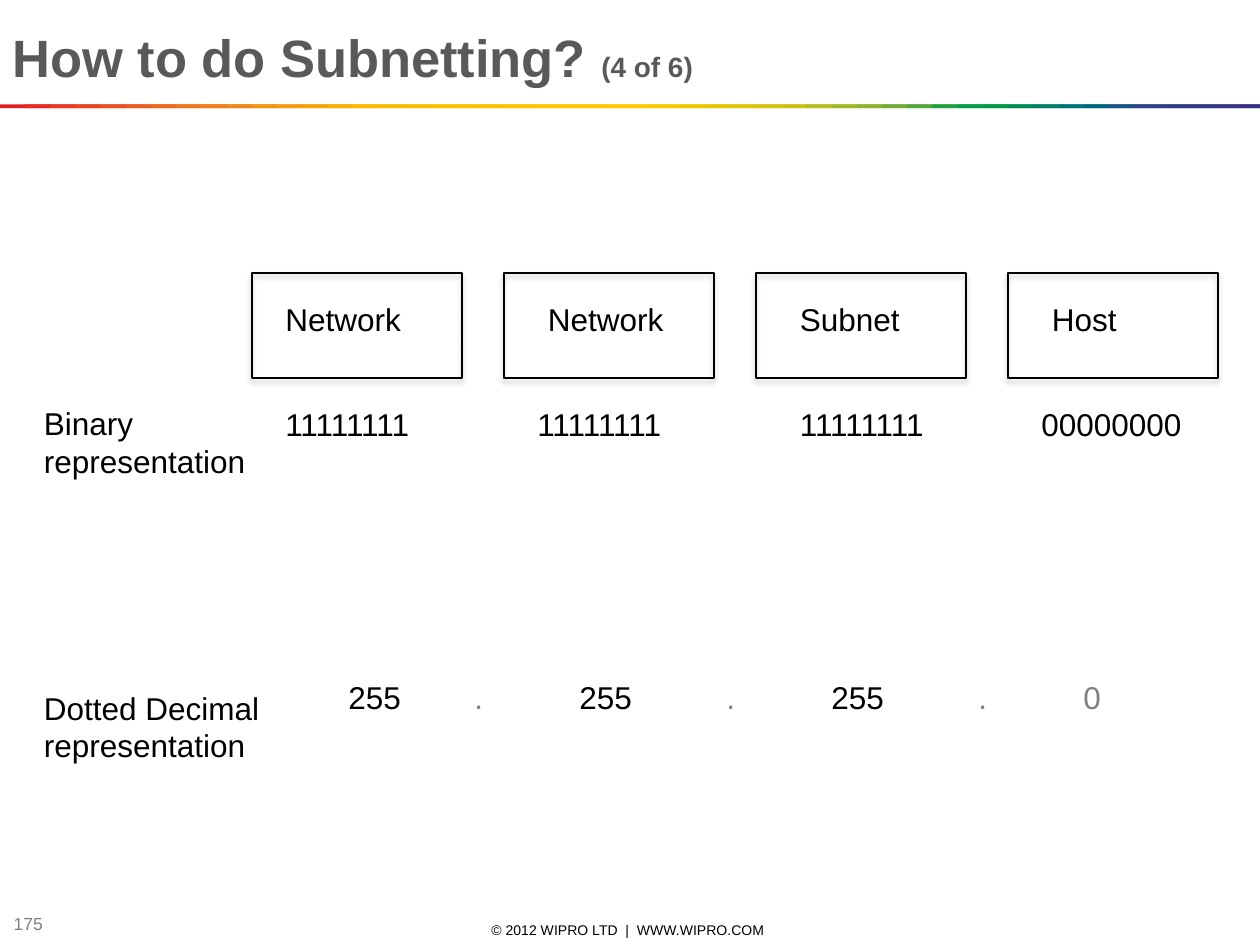
from lxml import etree
from pptx import Presentation
from pptx import util as u
from pptx.dml import color
from pptx.enum import shapes, text
from pptx.oxml import ns

Pt = u.Pt
RECT = shapes.MSO_SHAPE.RECTANGLE
MID = text.MSO_ANCHOR.MIDDLE
MAIN, GRAY = "000000", "808080"
BANDS = """
E31E24 E42C24 E53A24 E74623 E85122 EA5D21 EC691F EE741D EF7E1A F18817
F39314 F49C0F F6A607 F8B002 FBBA00 FBBB00 FBBD00 FCBF00 FCC000 FCC200
FDC400 FDC600 FDC700 FEC900 FECB00 FBCB00 F3CA00 ECC800 E4C602 DCC50A
D5C30E CCC117 B8BC21 A3B829 8CB230 71AD36 51A73B 1DA240 009D43 009846
008C57 008068 007275 00637F 185384 2E4285 313E85 333B85 353885 393185
""".split()
OCTETS = [
    ("Network", 12, "11111111", 12, "255", 48, MAIN),
    ("Network", 18, "11111111", 12, "255", 36, MAIN),
    ("Subnet", 18, "11111111", 18, "255", 36, MAIN),
    ("Host", 18, "00000000", 12, "0", 36, GRAY),
]


def hue(code):
    return color.RGBColor.from_string(code)


def style(item, vals):
    for key, val in vals.items():
        setattr(item, key, val)


def write(home, box, runs, frame=None, align=None):
    area = home.add_textbox(*map(Pt, box)).text_frame
    style(area, {"word_wrap": True, **(frame or {})})
    para = area.paragraphs[0]
    para.alignment = align
    for words, size, code, bold in runs:
        run = para.add_run()
        run.text = words
        style(run.font, {"name": "Arial", "size": Pt(size), "bold": bold})
        run.font.color.rgb = hue(code)


def label(home, box, words, code=MAIN):
    write(home, box, [(words, 18, code, False)])


def title(home, box):
    write(home, box, [("How to do Subnetting? ", 30, "595959", True),
                      ("(4 of 6)", 16, "595959", True)])


def rainbow(home, box):
    left, top, width, height = box
    group = home.add_group_shape().shapes
    step = width / len(BANDS)
    for i, code in enumerate(BANDS):
        wide = min(2 * step, width - i * step)
        band = group.add_shape(RECT, *map(Pt, (left + i * step, top, wide, height)))
        band.shadow.inherit = False
        band.fill.solid()
        band.fill.fore_color.rgb = hue(code)
        band.line.fill.background()


def shade(shape):
    shape.shadow.inherit = False
    effects = shape._element.spPr.find(ns.qn("a:effectLst"))
    outer = etree.SubElement(effects, ns.qn("a:outerShdw"), blurRad=str(Pt(3.1)),
                             dist=str(Pt(1.8)), dir="5400000", rotWithShape="0")
    tint = etree.SubElement(outer, ns.qn("a:srgbClr"), val=MAIN)
    etree.SubElement(tint, ns.qn("a:alpha"), val="35000")


def octet(home, box, data):
    left, top, width, height = box
    name, name_in, bits, bits_in, value, value_in, code = data
    frame = home.add_shape(RECT, *map(Pt, (left, top, width, height)))
    frame.fill.background()
    frame.line.color.rgb = hue(MAIN)
    frame.line.width = Pt(0.75)
    shade(frame)
    label(home, (left + name_in, top + 12, 102, 29), name)
    label(home, (left + bits_in, top + 72, 102, 29), bits)
    label(home, (left + value_in, top + 228, 54, 29), value, code)


def board(home, box):
    left, top, width, height = box
    group = home.add_group_shape().shapes
    start, pitch, wide = left + 126, 144, 120
    for i, data in enumerate(OCTETS):
        side = start + i * pitch
        octet(group, (side, top, wide, 60), data)
        if i < len(OCTETS) - 1:
            label(group, (side + wide, top + 228, 24, 29), ".", GRAY)
    label(group, (left, top + 71.5, 138, 51), "Binary representation")
    label(group, (left, top + height - 51, 156, 51), "Dotted Decimal representation")


def footer(home, box):
    left, top, width, height = box
    frame = {"vertical_anchor": MID, "margin_top": 0, "margin_bottom": 0}
    write(home, (left + 246, top + 5.6, 228, 11.5),
          [("© 2012 WIPRO LTD  |  WWW.WIPRO.COM ", 8, MAIN, False)],
          frame, text.PP_ALIGN.CENTER)
    write(home, (left + 0.7, top, 54, 15), [("175", 10, GRAY, False)], frame)


def main():
    deck = Presentation()
    style(deck, {"slide_width": Pt(720), "slide_height": Pt(540)})
    home = deck.slides.add_slide(deck.slide_layouts[6]).shapes
    footer(home, (0, 520, 720, 20))
    rainbow(home, (0, 59.7, 720, 2.2))
    title(home, (0, 11, 720, 44))
    board(home, (18, 156, 678, 285))
    deck.save("out.pptx")


if __name__ == "__main__":
    main()
